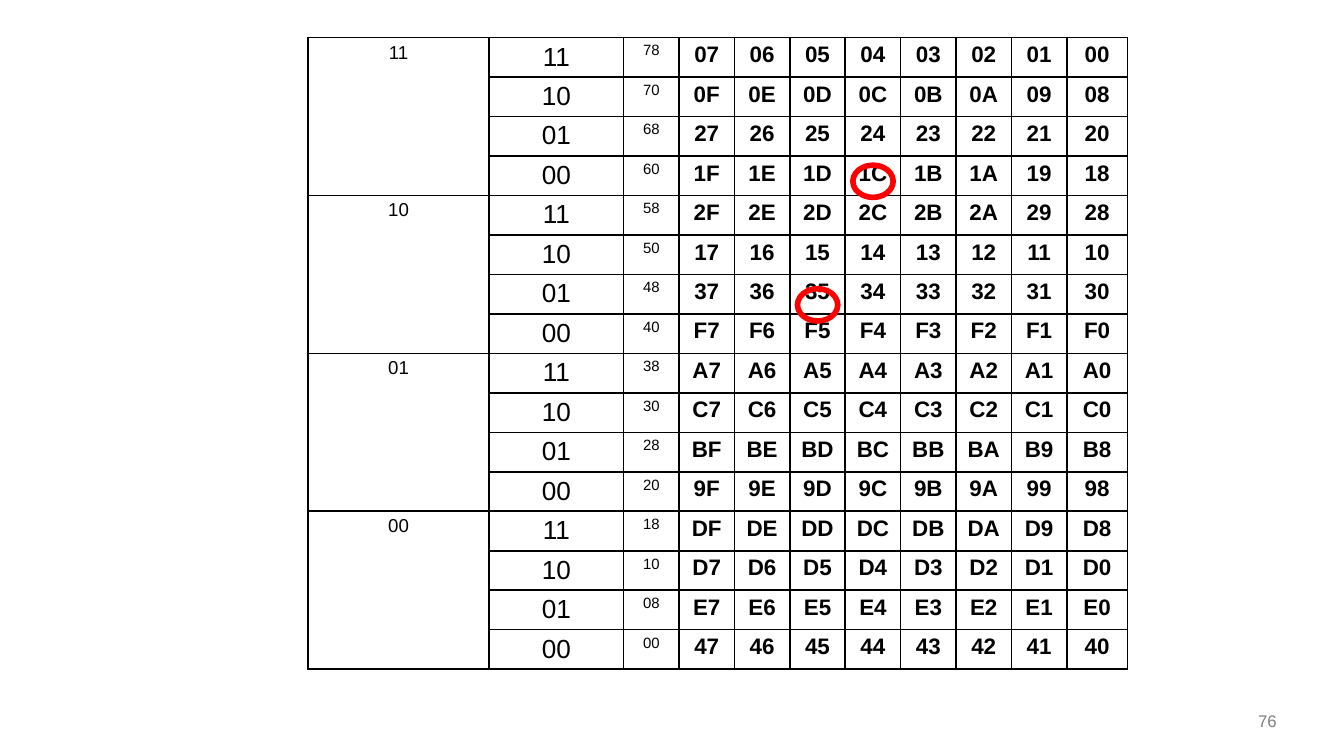
from lxml import etree
from pptx import Presentation
from pptx import util as u
from pptx.dml.color import RGBColor
from pptx.enum import shapes, text
from pptx.oxml import ns

BLACK = RGBColor(0x00, 0x00, 0x00)
GRAY = RGBColor(0x7F, 0x7F, 0x7F)
RED = RGBColor(0xFF, 0x00, 0x00)

SLIDE_WIDTH = 10
SLIDE_HEIGHT = SLIDE_WIDTH * 9 / 16
LEFT, TOP = 2.29, 0.28
TABLE_WIDTH, TABLE_HEIGHT = 6.1, 4.7
HIGH_WIDTH, LOW_WIDTH, LAST_WIDTH = 1.35, 1, 0.45
BYTE_WIDTH = (TABLE_WIDTH - HIGH_WIDTH - LOW_WIDTH - LAST_WIDTH) / 8
COLUMN_WIDTHS = [HIGH_WIDTH, LOW_WIDTH] + [BYTE_WIDTH] * 8 + [LAST_WIDTH]

BIT_PAIRS = ["11", "10", "01", "00"]
# Lowest byte of each memory row, from address 78 down to address 00
ROW_BYTES = [0x00, 0x08, 0x20, 0x18, 0x28, 0x10, 0x30, 0xF0,
             0xA0, 0xC0, 0xB8, 0x98, 0xD8, 0xD0, 0xE0, 0x40]
ROW_HEIGHT = TABLE_HEIGHT / len(ROW_BYTES)


def write_text(frame, content, size, color=BLACK, bold=False,
               align=text.PP_ALIGN.CENTER):
    paragraph = frame.paragraphs[0]
    paragraph.alignment = align
    run = paragraph.add_run()
    run.text = content
    run.font.name = "Arial"
    run.font.size = u.Pt(size)
    run.font.bold = bold
    run.font.color.rgb = color


def style_cell(cell):
    """Give the cell thin black borders, no fill and narrow margins."""
    properties = cell._tc.get_or_add_tcPr()
    for side in ("lnL", "lnR", "lnT", "lnB"):
        line = etree.SubElement(properties, ns.qn(f"a:{side}"), w=str(u.Pt(1)))
        fill = etree.SubElement(line, ns.qn("a:solidFill"))
        etree.SubElement(fill, ns.qn("a:srgbClr"), val=str(BLACK))
    cell.fill.background()
    cell.margin_left = cell.margin_right = u.Pt(5)
    cell.margin_top = u.Pt(2.5)
    cell.margin_bottom = u.Pt(1.8)


def shrink_empty_line(cell):
    """Keep the empty line of a spanned cell from stretching its row."""
    paragraph = cell.text_frame.paragraphs[0]
    etree.SubElement(paragraph._p, ns.qn("a:endParaRPr"), sz="800")


def add_memory_table(slide):
    table = slide.shapes.add_table(
        len(ROW_BYTES), len(COLUMN_WIDTHS), u.Inches(LEFT), u.Inches(TOP),
        u.Inches(TABLE_WIDTH), u.Inches(TABLE_HEIGHT)).table
    table.first_row = table.horz_banding = False
    for column, width in zip(table.columns, COLUMN_WIDTHS):
        column.width = u.Inches(width)
    for row in table.rows:
        row.height = u.Inches(ROW_HEIGHT)
    for cell in table.iter_cells():
        style_cell(cell)

    for group, bits in enumerate(BIT_PAIRS):
        first = table.cell(4 * group, 0)
        first.merge(table.cell(4 * group + 3, 0))
        write_text(first.text_frame, bits, size=10)
        for offset in range(1, 4):
            shrink_empty_line(table.cell(4 * group + offset, 0))
    for row, lowest in enumerate(ROW_BYTES):
        address = 8 * (len(ROW_BYTES) - 1 - row)
        write_text(table.cell(row, 1).text_frame, BIT_PAIRS[row % 4], size=14)
        write_text(table.cell(row, 2).text_frame, f"{address:02X}", size=8)
        for offset in range(8):
            write_text(table.cell(row, 10 - offset).text_frame,
                       f"{lowest + offset:02X}", size=12, bold=True)


def add_ring(slide, column, rows_down):
    """Ring centred on a column, at a distance from the top in table rows."""
    width, height = 0.3, 0.24
    center_x = LEFT + sum(COLUMN_WIDTHS[:column]) + COLUMN_WIDTHS[column] / 2
    center_y = TOP + rows_down * ROW_HEIGHT
    ring = slide.shapes.add_shape(
        shapes.MSO_SHAPE.OVAL, u.Inches(center_x - width / 2),
        u.Inches(center_y - height / 2), u.Inches(width), u.Inches(height))
    ring.shadow.inherit = False
    ring.fill.background()
    ring.line.color.rgb = RED
    ring.line.width = u.Pt(3)


def add_page_number(slide, number):
    box = slide.shapes.add_textbox(
        u.Inches(8.91), u.Inches(5.14), u.Inches(0.59), u.Inches(0.3))
    frame = box.text_frame
    frame.word_wrap = True
    frame.vertical_anchor = text.MSO_ANCHOR.BOTTOM
    frame.margin_left = frame.margin_right = 0
    frame.margin_top = frame.margin_bottom = 0
    write_text(frame, number, size=9, color=GRAY, align=text.PP_ALIGN.RIGHT)


def main():
    presentation = Presentation()
    presentation.slide_width = u.Inches(SLIDE_WIDTH)
    presentation.slide_height = u.Inches(SLIDE_HEIGHT)
    slide = presentation.slides.add_slide(presentation.slide_layouts[6])
    add_page_number(slide, "76")
    add_memory_table(slide)
    add_ring(slide, column=5, rows_down=6.77)
    add_ring(slide, column=6, rows_down=3.64)
    presentation.save("out.pptx")


if __name__ == "__main__":
    main()
